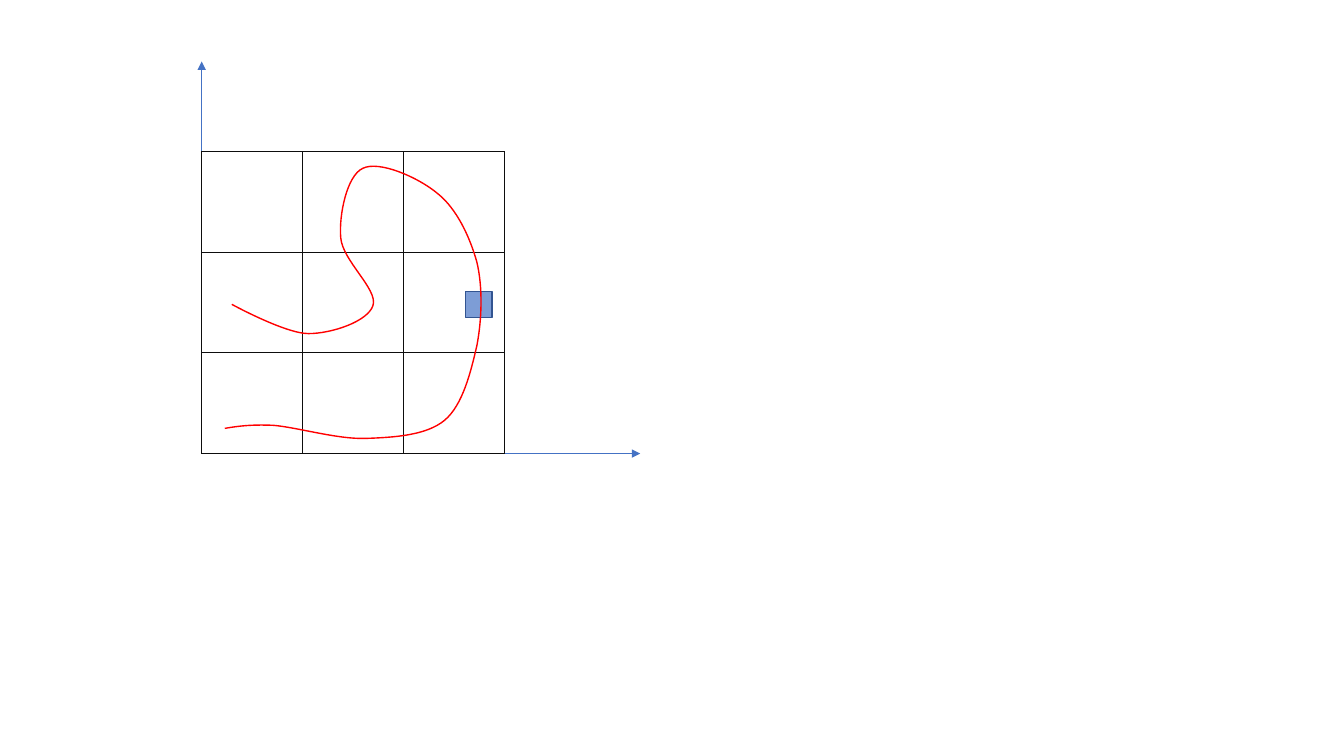
from dataclasses import dataclass

from lxml import etree
from pptx import Presentation
from pptx.dml.color import RGBColor
from pptx.enum.shapes import MSO_CONNECTOR, MSO_SHAPE
from pptx.oxml.ns import qn
from pptx.util import Inches, Pt

STRAIGHT = MSO_CONNECTOR.STRAIGHT
RECTANGLE = MSO_SHAPE.RECTANGLE


@dataclass
class Theme:
    blue: RGBColor = RGBColor(0x44, 0x72, 0xC4)
    marker_line: RGBColor = RGBColor(0x32, 0x54, 0x91)
    grid: RGBColor = RGBColor(0x0D, 0x0D, 0x0D)
    curve: RGBColor = RGBColor(0xFF, 0x00, 0x00)
    marker_opacity: int = 69
    thin: float = 0.5
    thick: float = 1


theme = Theme()


def add_line(start, end, color, arrow=False):
    connector = slide.shapes.add_connector(
        STRAIGHT, *(Inches(value) for value in (*start, *end))
    )
    connector.line.color.rgb = color
    connector.line.width = Pt(theme.thin)
    if arrow:
        outline = connector.line._get_or_add_ln()
        etree.SubElement(outline, qn("a:tailEnd"), type="triangle")
    etree.SubElement(connector._element.spPr, qn("a:effectLst"))


presentation = Presentation()
presentation.slide_width = Inches(13.33)
presentation.slide_height = Inches(7.5)
slide = presentation.slides.add_slide(presentation.slide_layouts[6])

marker = slide.shapes.add_shape(
    RECTANGLE, Inches(4.62), Inches(2.89), Inches(0.26), Inches(0.26)
)
marker.shadow.inherit = False
marker.fill.solid()
marker.fill.fore_color.rgb = theme.blue
marker_color = marker._element.spPr.find(qn("a:solidFill")).find(qn("a:srgbClr"))
etree.SubElement(marker_color, qn("a:alpha"), val=str(theme.marker_opacity * 1000))
marker.line.color.rgb = theme.marker_line
marker.line.width = Pt(theme.thick)

grid_left, grid_top, cell, cells = 2, 1.5, 1, 3
grid_right = grid_left + cells * cell
grid_bottom = grid_top + cells * cell
origin = (grid_left, grid_bottom)

for axis_end in ((grid_left, 0.61), (6.35, grid_bottom)):
    add_line(origin, axis_end, theme.blue, arrow=True)

for index in range(cells + 1):
    x = grid_left + index * cell
    add_line((x, grid_top), (x, grid_bottom), theme.grid)
for index in range(cells + 1):
    y = grid_top + index * cell
    add_line((grid_right, y), (grid_left, y), theme.grid)

curve_left, curve_top, curve_width, curve_height = 2.23, 1.65, 2.54, 2.7
curve_start = (2.23, 4.25)
curve_segments = [
    ((2.35, 4.23), (2.48, 4.21), (2.71, 4.22)),
    ((2.95, 4.24), (3.35, 4.36), (3.63, 4.35)),
    ((3.91, 4.34), (4.23, 4.32), (4.41, 4.17)),
    ((4.59, 4.02), (4.67, 3.69), (4.73, 3.43)),
    ((4.78, 3.17), (4.79, 2.85), (4.73, 2.6)),
    ((4.66, 2.35), (4.53, 2.07), (4.34, 1.92)),
    ((4.15, 1.76), (3.76, 1.59), (3.6, 1.67)),
    ((3.44, 1.74), (3.36, 2.14), (3.38, 2.36)),
    ((3.4, 2.59), (3.75, 2.87), (3.7, 3.03)),
    ((3.65, 3.19), (3.29, 3.31), (3.06, 3.31)),
    ((2.83, 3.31), (2.3, 3.02), (2.3, 3.02)),
]

builder = slide.shapes.build_freeform(*(Inches(value) for value in curve_start))
builder.add_line_segments(
    [tuple(Inches(value) for value in segment[-1]) for segment in curve_segments],
    close=False,
)
curve = builder.convert_to_shape()
curve.left, curve.top = Inches(curve_left), Inches(curve_top)
curve.width, curve.height = Inches(curve_width), Inches(curve_height)

outline = next(curve._element.iter(qn("a:path")))
outline.set("w", str(curve.width))
outline.set("h", str(curve.height))
for command, points in zip(list(outline), [(curve_start,), *curve_segments]):
    if len(points) == 3:
        command.tag = qn("a:cubicBezTo")
    for point in list(command):
        command.remove(point)
    for x, y in points:
        etree.SubElement(
            command,
            qn("a:pt"),
            x=str(Inches(x) - curve.left),
            y=str(Inches(y) - curve.top),
        )

curve.shadow.inherit = False
curve.fill.background()
curve.line.color.rgb = theme.curve
curve.line.width = Pt(theme.thick)

presentation.save("out.pptx")
